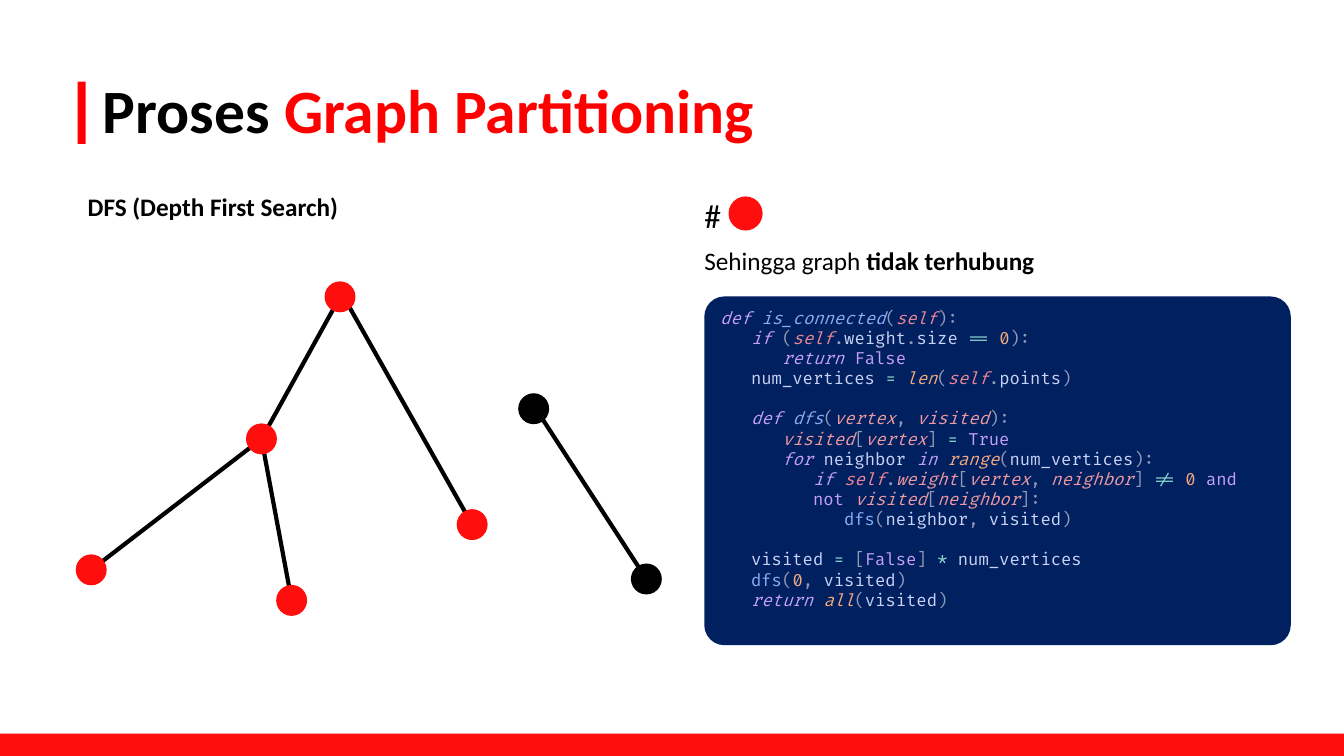
from lxml import etree
from pptx import Presentation
from pptx import util as u
from pptx.dml.color import RGBColor
from pptx.enum import shapes, text
from pptx.oxml.ns import qn

BLACK, RED, BRIGHT, NAVY = "000000", "FF0000", "FF0E0E", "002060"
BODY_FONT, CODE_FONT = "Calibri", "Fira Code"

# Content: (text, colour, bold) runs
TITLE = [("Proses ", BLACK, True), ("Graph Partitioning", RED, True)]
LABELS = [  # box in cm, size, wrap, runs
    ((1.96, 4.7, 13.39, 1.02), 18, True, [("DFS (Depth First Search)", BLACK, True)]),
    ((17.5, 4.78, 0.94, 1.27), 24, False, [("#", BLACK, False)]),
    ((17.5, 6.05, 8.84, 1.02), 18, False,
     [("Sehingga graph ", BLACK, False), ("tidak terhubung", BLACK, True)]),
]

# Graph: node centres in cm, and edges with a shift of their start
NODE_SIZE, LEGEND_SIZE = 0.78, 0.86
NODES = {
    "root": (8.57, 7.48, BRIGHT), "left": (6.59, 11.06, BRIGHT),
    "leaf 1": (2.3, 14.36, BRIGHT), "leaf 2": (7.35, 15.13, BRIGHT),
    "right": (11.9, 13.22, BRIGHT),
    "apart 1": (13.45, 10.3, BLACK), "apart 2": (16.29, 14.59, BLACK),
}
EDGES = [
    ("root", "left", 0, 0), ("left", "leaf 1", 0, 0), ("left", "leaf 2", 0, 0),
    ("root", "right", 0.09, 0), ("apart 1", "apart 2", -0.09, -0.22),
]
LEGEND = (18.79, 5.38, BRIGHT)

# Code: token styles (colour, italic), then lines of (style, text)
STYLES = {
    "key": ("C6A0F6", True), "const": ("C6A0F6", False),
    "defn": ("8AADF4", True), "call": ("8AADF4", False),
    "self": ("ED8796", True), "arg": ("EE99A0", True),
    "built": ("F5A97F", True), "num": ("F5A97F", False),
    "op": ("8BD5CA", False), "punct": ("939AB7", False), "name": ("CAD3F5", False),
}
CODE = [
    [("key", "def "), ("defn", "is_connected"), ("punct", "("), ("self", "self"), ("punct", "):")],
    [("key", "   if "), ("punct", "("), ("self", "self"), ("punct", "."), ("name", "weight"),
     ("punct", "."), ("name", "size "), ("op", "== "), ("num", "0"), ("punct", "):")],
    [("key", "      return "), ("const", "False")],
    [("name", "   num_vertices "), ("op", "= "), ("built", "len"), ("punct", "("),
     ("self", "self"), ("punct", "."), ("name", "points"), ("punct", ")")],
    [("key", "   def "), ("defn", "dfs"), ("punct", "("), ("arg", "vertex"), ("punct", ", "),
     ("arg", "visited"), ("punct", "):")],
    [("arg", "      visited"), ("punct", "["), ("arg", "vertex"), ("punct", "] "),
     ("op", "= "), ("const", "True")],
    [("key", "      for "), ("name", "neighbor "), ("key", "in "), ("built", "range"),
     ("punct", "("), ("name", "num_vertices"), ("punct", "):")],
    [("key", "         if "), ("self", "self"), ("punct", "."), ("arg", "weight"),
     ("punct", "["), ("arg", "vertex"), ("punct", ", "), ("arg", "neighbor"),
     ("punct", "] "), ("op", "!= "), ("num", "0 "), ("const", "and")],
    [("const", "         not "), ("arg", "visited"), ("punct", "["), ("arg", "neighbor"),
     ("punct", "]:")],
    [("call", "            dfs"), ("punct", "("), ("name", "neighbor"), ("punct", ","),
     ("name", " visited"), ("punct", ")")],
    [("name", "   visited "), ("op", "= "), ("punct", "["), ("const", "False"),
     ("punct", "] "), ("op", "* "), ("name", "num_vertices")],
    [("call", "   dfs"), ("punct", "("), ("num", "0"), ("punct", ","),
     ("name", " visited"), ("punct", ")")],
    [("key", "   return "), ("built", "all"), ("punct", "("), ("name", "visited"),
     ("punct", ")")],
]
BLOCK_STARTS = (4, 10)  # lines set off by one line of space
LINE_PITCH = 14.4

prs = Presentation()
prs.slide_width, prs.slide_height = u.Cm(33.87), u.Cm(19.05)
s = prs.slides.add_slide(prs.slide_layouts[5])


def rgb(value):
    return RGBColor.from_string(value)


def cm(*lengths):
    return [u.Cm(v) for v in lengths]


def add_run(p, words, size, font, color, bold=False, italic=False):
    r = p.add_run()
    r.text = words
    r.font.size, r.font.name = u.Pt(size), font
    r.font.bold, r.font.italic = bold, italic
    r.font.color.rgb = rgb(color)


def add_block(kind, box, color):
    sp = s.shapes.add_shape(kind, *cm(*box))
    sp.shadow.inherit = False
    sp.fill.solid()
    sp.fill.fore_color.rgb = rgb(color)
    sp.line.fill.background()
    return sp


def add_dot(x, y, color, size):
    add_block(shapes.MSO_SHAPE.OVAL, (x - size / 2, y - size / 2, size, size), color)


# Title with its bar, and the footer band
title = s.shapes.title
title.left, title.top, title.width, title.height = cm(2.34, 1.02, 29.21, 3.68)
tf = title.text_frame
tf.auto_size = text.MSO_AUTO_SIZE.NONE
tf.vertical_anchor = text.MSO_ANCHOR.MIDDLE
p = tf.paragraphs[0]
p.alignment, p.line_spacing = text.PP_ALIGN.LEFT, 0.9
for words, color, bold in TITLE:
    add_run(p, words, 44, BODY_FONT, color, bold)
add_block(shapes.MSO_SHAPE.RECTANGLE, (1.96, 2.06, 0.2, 1.57), RED)
add_block(shapes.MSO_SHAPE.RECTANGLE, (0, 18.49, 33.87, 0.56), BRIGHT)

# Graph: edges behind nodes
for start, end, dx, dy in EDGES:
    x1, y1, _ = NODES[start]
    x2, y2, _ = NODES[end]
    edge = s.shapes.add_connector(shapes.MSO_CONNECTOR.STRAIGHT,
                                  *cm(x1 + dx, y1 + dy, x2, y2))
    edge.line.color.rgb = rgb(BLACK)
    edge.line.width = u.Pt(3)
    etree.SubElement(edge._element.spPr, qn("a:effectLst"))
for x, y, color in NODES.values():
    add_dot(x, y, color, NODE_SIZE)
add_dot(*LEGEND, LEGEND_SIZE)

# Labels
for box, size, wrap, runs in LABELS:
    tf = s.shapes.add_textbox(*cm(*box)).text_frame
    tf.word_wrap = wrap
    tf.auto_size = text.MSO_AUTO_SIZE.SHAPE_TO_FIT_TEXT
    for words, color, bold in runs:
        add_run(tf.paragraphs[0], words, size, BODY_FONT, color, bold)

# Code panel
panel = add_block(shapes.MSO_SHAPE.ROUNDED_RECTANGLE, (17.75, 7.47, 14.78, 8.79), NAVY)
panel.adjustments[0] = 0.058
tf = panel.text_frame
tf.word_wrap = True
tf.vertical_anchor = text.MSO_ANCHOR.TOP
for i, tokens in enumerate(CODE):
    p = tf.add_paragraph() if i else tf.paragraphs[0]
    p.alignment = text.PP_ALIGN.LEFT
    if i in BLOCK_STARTS:
        p.space_before = u.Pt(LINE_PITCH)
    for style, words in tokens:
        color, italic = STYLES[style]
        add_run(p, words, 12, CODE_FONT, color, italic=italic)

prs.save("out.pptx")
